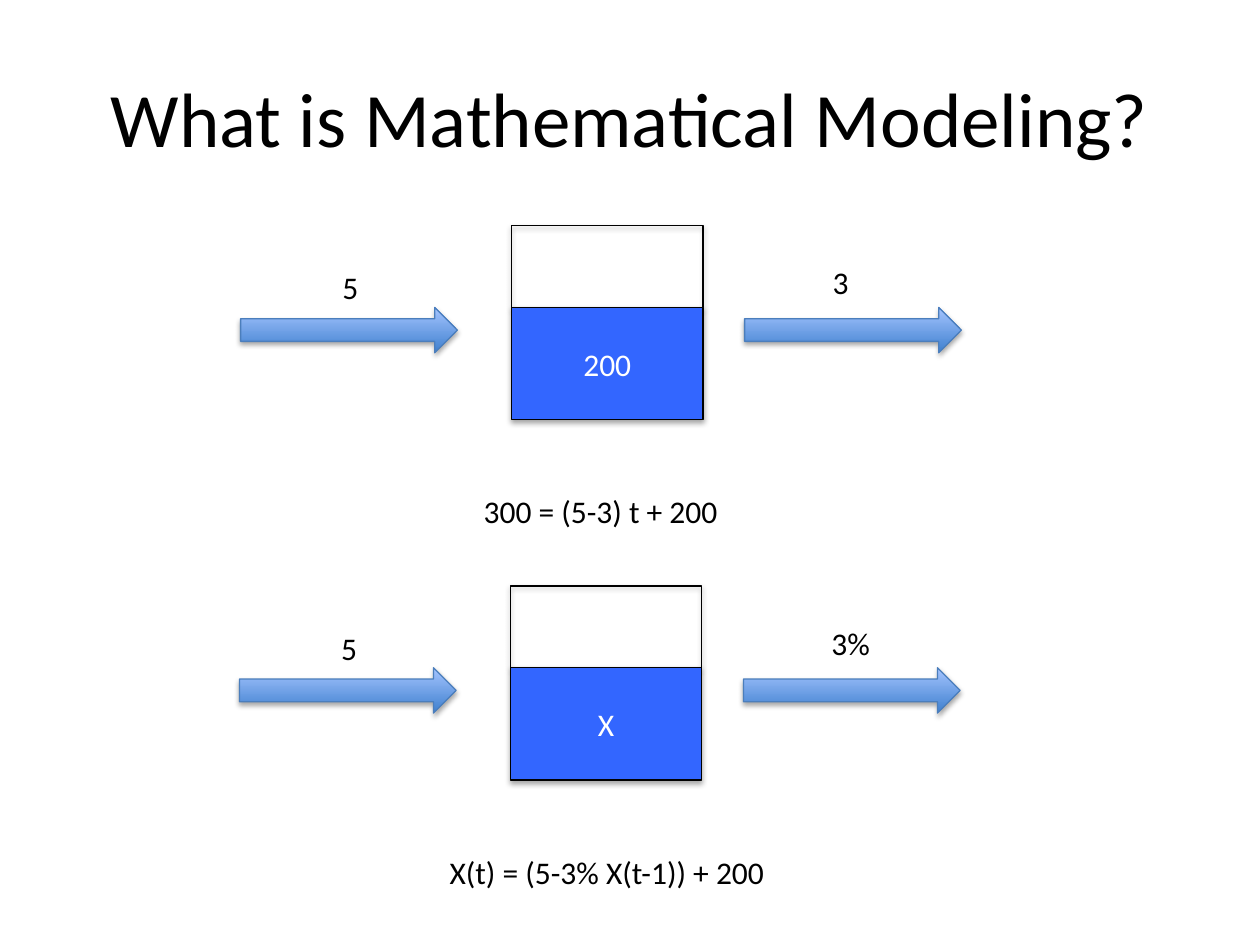
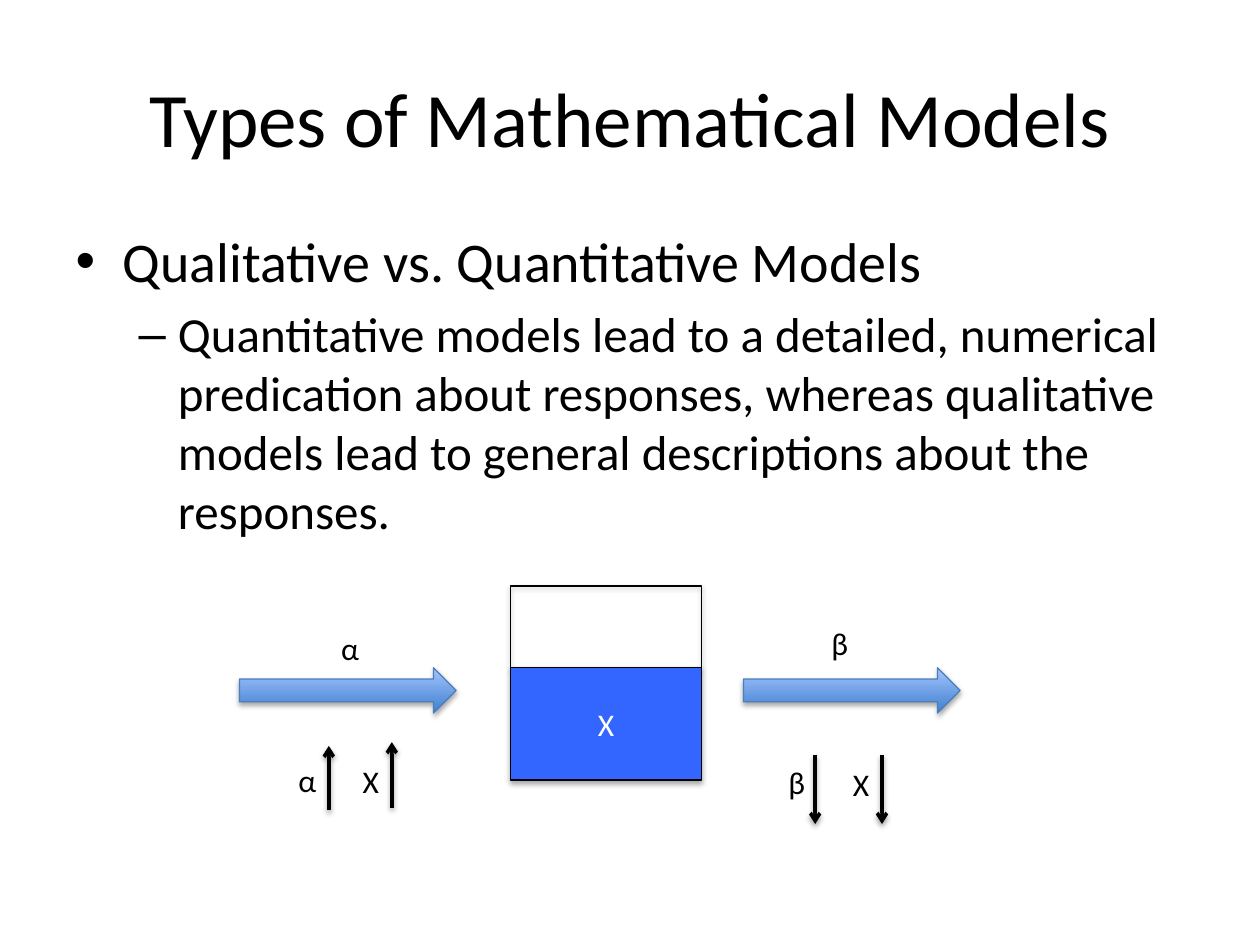
from lxml import etree
from pptx import Presentation
from pptx.dml.color import RGBColor
from pptx.enum.shapes import MSO_CONNECTOR, MSO_SHAPE
from pptx.enum.text import MSO_ANCHOR, MSO_AUTO_SIZE as AUTO, PP_ALIGN
from pptx.oxml.ns import qn
from pptx.util import Inches, Pt

FONT = "Calibri"
BLACK, WHITE, WATER = "000000", "FFFFFF", "3366FF"
FLOW_DARK, FLOW_LIGHT, FLOW_LINE = "3F80CE", "A4C4FF", "4B7EBC"

# Tank systems: left, top, inflow, content, outflow
MODELING = {
    "title": "What is Mathematical Modeling?",
    "systems": [(1.91, 1.79, "5", "200", "3"),
                (1.9, 4.65, "5", "X", "3%")],
    "labels": [("300 = (5-3) t + 200", 3.74, 3.86, 2.08),
               ("X(t) = (5-3% X(t-1)) + 200", 3.47, 6.72, 2.73)],
}
TYPES = {
    "title": "Types of Mathematical Models",
    "bullets": [
        (0, "Qualitative vs. Quantitative Models"),
        (1, "Quantitative models lead to a detailed, numerical predication about "
            "responses, whereas qualitative models lead to general descriptions "
            "about the responses."),
    ],
    "systems": [(1.9, 4.65, "α", "X", "β")],
    "labels": [("α", 2.27, 5.99, 0.35), ("X", 2.78, 6, 0.33),
               ("β", 6.16, 6.01, 0.34), ("X", 6.67, 6.02, 0.33)],
    # Trend arrows: x, start y, end y
    "trends": [(2.61, 6.43, 5.92), (3.11, 6.41, 5.89),
               (6.47, 5.99, 6.54), (7, 5.99, 6.54)],
}

BULLET_SIZES = (32, 28)
TANK_W, EMPTY_H, WATER_H = 1.52, 0.65, 0.89
FLOW_W, FLOW_H = 1.72, 0.36
TANK_DX, OUT_DX = 2.15, 4


def rgb(color):
    return RGBColor.from_string(color)


def box(*lengths):
    return [Inches(n) for n in lengths]


def style(p, size, color=BLACK):
    for r in p.runs:
        r.font.name, r.font.size = FONT, Pt(size)
        r.font.color.rgb = rgb(color)


def set_line(sp, color, width):
    sp.line.color.rgb = rgb(color)
    sp.line.width = Pt(width)


def add_shadow(sp, opacity, distance):
    """Cast a soft shadow straight down; call after the line is set."""
    spPr = sp._element.spPr
    effects = etree.SubElement(spPr, qn("a:effectLst"))
    shadow = etree.SubElement(effects, qn("a:outerShdw"), blurRad=str(Pt(3.1)),
                              dist=str(Pt(distance)), dir="5400000", rotWithShape="0")
    color = etree.SubElement(shadow, qn("a:srgbClr"), val=BLACK)
    etree.SubElement(color, qn("a:alpha"), val=str(opacity * 1000))


def add_label(slide, text, x, y, w):
    tf = slide.shapes.add_textbox(*box(x, y, w, 0.4)).text_frame
    tf.text = text
    tf.word_wrap = False
    tf.auto_size = AUTO.SHAPE_TO_FIT_TEXT
    style(tf.paragraphs[0], 18)


def add_tank_part(slide, x, y, h, fill=None, text=""):
    sp = slide.shapes.add_shape(MSO_SHAPE.RECTANGLE, *box(x, y, TANK_W, h))
    if fill:
        sp.fill.solid()
        sp.fill.fore_color.rgb = rgb(fill)
    else:
        sp.fill.background()
    set_line(sp, BLACK, 0.75)
    add_shadow(sp, 35, 1.8)
    tf = sp.text_frame
    tf.text = text
    tf.vertical_anchor = MSO_ANCHOR.MIDDLE
    p = tf.paragraphs[0]
    p.alignment = PP_ALIGN.CENTER
    style(p, 18, WHITE)


def add_flow(slide, x, y):
    sp = slide.shapes.add_shape(MSO_SHAPE.RIGHT_ARROW, *box(x, y, FLOW_W, FLOW_H))
    sp.fill.gradient()
    sp.fill.gradient_angle = 90
    for stop, color in zip(sp.fill.gradient_stops, (FLOW_DARK, FLOW_LIGHT)):
        stop.color.rgb = rgb(color)
    set_line(sp, FLOW_LINE, 0.75)
    add_shadow(sp, 35, 1.8)


def add_system(slide, x, y, inflow, content, outflow):
    """Draw a tank with one flow in and one flow out."""
    level = y + EMPTY_H
    add_tank_part(slide, x + TANK_DX, y, EMPTY_H)
    add_tank_part(slide, x + TANK_DX, level, WATER_H, WATER, content)
    add_flow(slide, x, level)
    add_flow(slide, x + OUT_DX, level)
    add_label(slide, inflow, x + 0.71, y + 0.29, 0.33)
    add_label(slide, outflow, x + 4.6, y + 0.25, 0.51 if len(outflow) > 1 else 0.33)


def add_trend(slide, x, start, end):
    line = slide.shapes.add_connector(MSO_CONNECTOR.STRAIGHT, *box(x, start, x, end))
    set_line(line, BLACK, 2)
    etree.SubElement(line.line._get_or_add_ln(), qn("a:tailEnd"), type="arrow")
    add_shadow(line, 38, 1.6)


def place(ph, *lengths):
    ph.left, ph.top, ph.width, ph.height = box(*lengths)
    return ph.text_frame


def add_title(slide, text):
    tf = place(slide.shapes.title, 0.5, 0.3, 9, 1.25)
    tf.text = text
    tf.vertical_anchor = MSO_ANCHOR.MIDDLE
    p = tf.paragraphs[0]
    p.alignment = PP_ALIGN.CENTER
    style(p, 44)


def add_bullets(slide, bullets):
    tf = place(slide.placeholders[1], 0.5, 1.75, 9, 2.66)
    for i, (level, text) in enumerate(bullets):
        p = tf.add_paragraph() if i else tf.paragraphs[0]
        p.text, p.level = text, level
        style(p, BULLET_SIZES[level])
    tf.paragraphs[0].space_before = Pt(0)


def add_slide(prs, content):
    bullets = content.get("bullets")
    slide = prs.slides.add_slide(prs.slide_layouts[1 if bullets else 5])
    add_title(slide, content["title"])
    if bullets:
        add_bullets(slide, bullets)
    for system in content["systems"]:
        add_system(slide, *system)
    for label in content["labels"]:
        add_label(slide, *label)
    for trend in content.get("trends", []):
        add_trend(slide, *trend)


def main():
    prs = Presentation()
    prs.slide_width, prs.slide_height = box(10, 7.5)
    for content in (MODELING, TYPES):
        add_slide(prs, content)
    prs.save("out.pptx")


if __name__ == "__main__":
    main()
